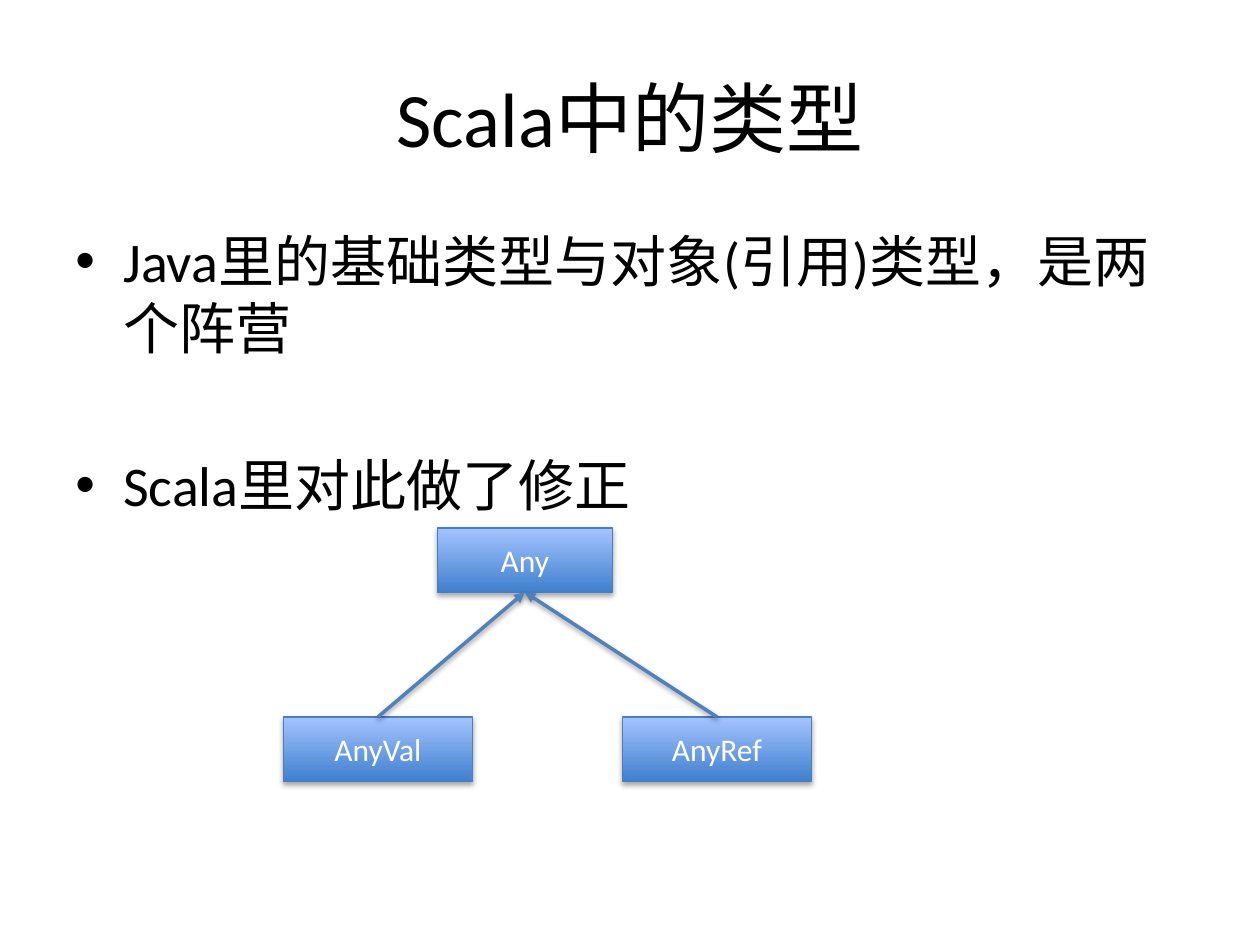
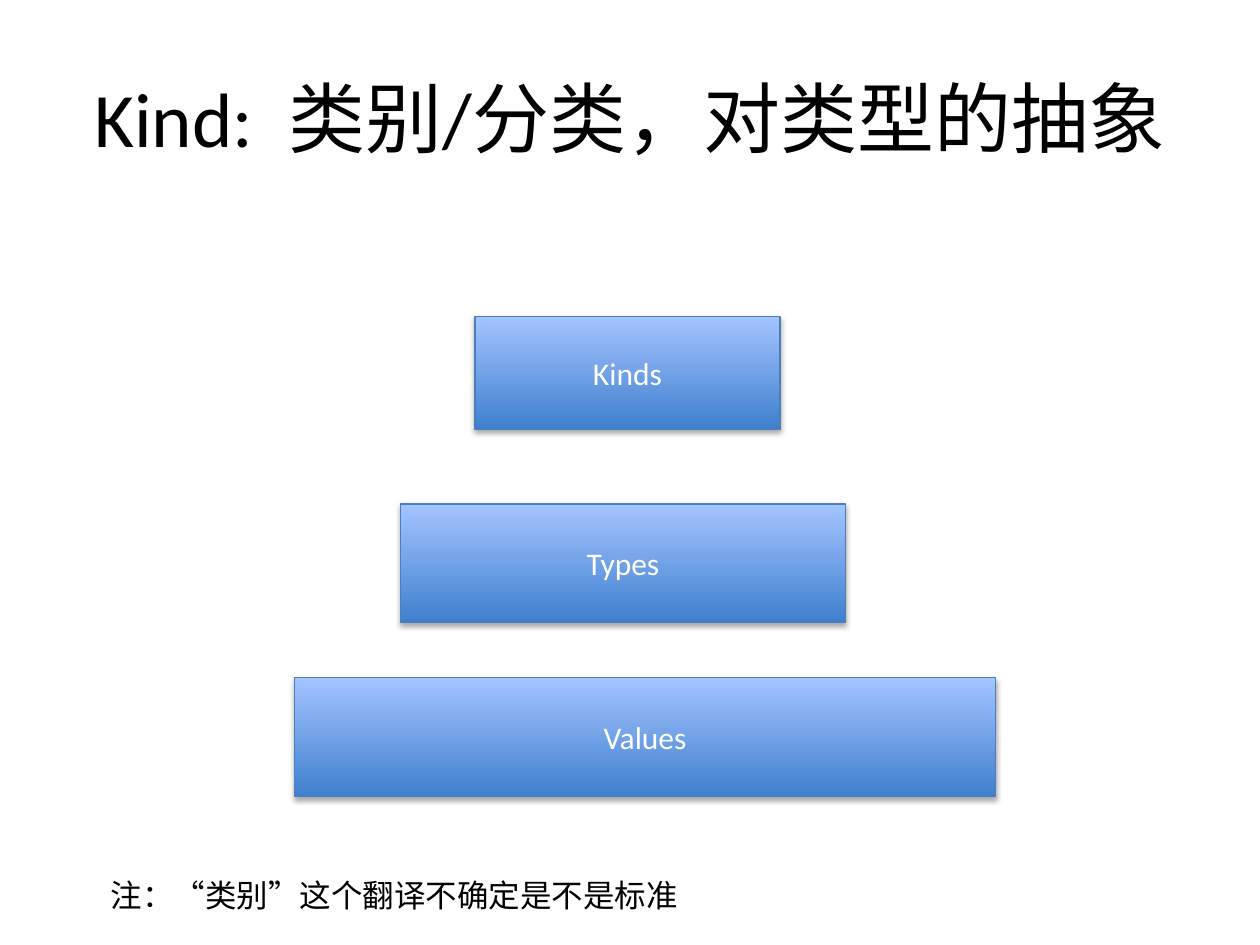
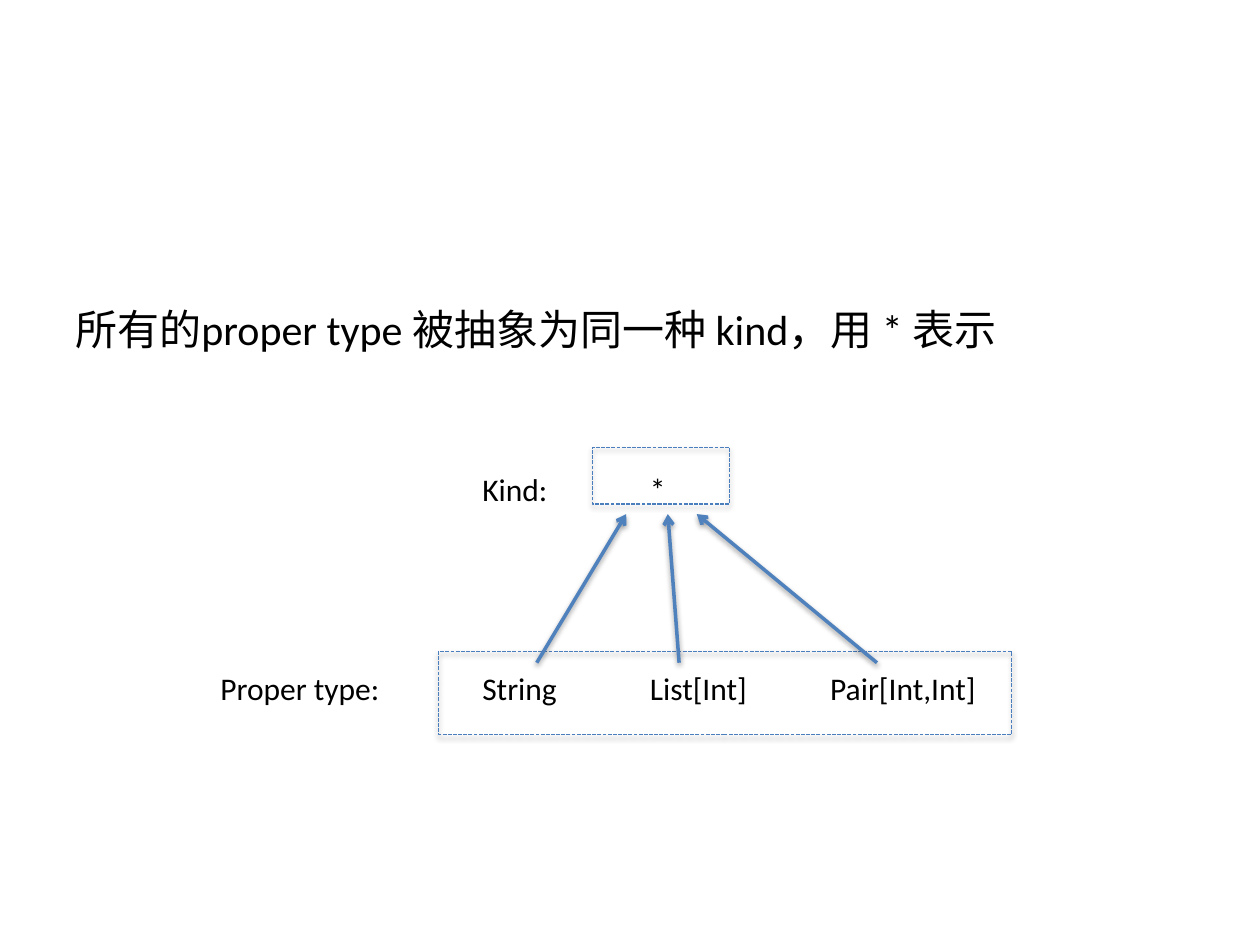
"""Build three slides on Scala types and kinds."""
from pptx import Presentation
from pptx.dml.color import RGBColor
from pptx.enum.dml import MSO_LINE
from pptx.enum.lang import MSO_LANGUAGE_ID as Lang
from pptx.enum.shapes import MSO_CONNECTOR as Conn, MSO_SHAPE as Shape
from pptx.enum.text import MSO_ANCHOR as Anchor, MSO_AUTO_SIZE as Fit, PP_ALIGN as Align
from pptx.oxml import parse_xml
from pptx.oxml.ns import nsdecls, qn
from pptx.util import Inches, Pt

FONT = "Calibri"
BLACK = RGBColor(0x00, 0x00, 0x00)
WHITE = RGBColor(0xFF, 0xFF, 0xFF)
DEEP = RGBColor(0x3F, 0x80, 0xCE)
PALE = RGBColor(0xA4, 0xC4, 0xFF)
EDGE = RGBColor(0x4B, 0x7E, 0xBC)
ARROW = RGBColor(0x4F, 0x81, 0xBD)

TITLES = ["Scala中的类型", "Kind:  类别/分类，对类型的抽象"]
POINTS = ["Java里的基础类型与对象(引用)类型，是两个阵营", "Scala里对此做了修正"]
ROOT = ("Any", (3.47, 4.19, 1.39, 0.51))
LEAVES = [("AnyRef", 4.94), ("AnyVal", 2.25)]
LEVELS = [
    ("Kinds", (3.77, 2.51, 2.42, 0.9)),
    ("Types", (3.18, 4, 3.53, 0.94)),
    ("Values", (2.34, 5.38, 5.56, 0.94)),
]
NOTE = "注：“类别”这个翻译不确定是不是标准"
CLAIM = "所有的proper type 被抽象为同一种 kind，用 * 表示"
ROWS = [
    (3.68, [("Kind:", 3.73, 0.72), ("*", 5.06, 0.47)]),
    (5.26, [("Proper type:", 1.65, 1.48), ("String", 3.73, 0.8),
            ("List[Int]", 5.06, 0.98), ("Pair[Int,Int]", 6.49, 1.38)]),
]
FRAMES = [(4.7, 3.55, 1.09, 0.45), (3.48, 5.17, 4.55, 0.66)]
RAYS = [(4.26, 4.97), (5.39, 5.3), (6.96, 5.53)]


def write(shape, *lines, size=18, color=BLACK, align=Align.LEFT,
          anchor=Anchor.TOP, wrap=True, gap=0, top=0.05, bullet=False):
    frame = shape.text_frame
    frame.word_wrap = wrap
    frame.auto_size = Fit.NONE
    frame.vertical_anchor = anchor
    frame.margin_top = Inches(top)
    for i, line in enumerate(lines):
        para = frame.add_paragraph() if i else frame.paragraphs[0]
        para.alignment = align
        if i:
            para.space_before = Pt(gap)
        if bullet:
            props = para._p.get_or_add_pPr()
            props.set("marL", str(Inches(0.38)))
            props.set("indent", str(-Inches(0.38)))
            props.append(parse_xml(f'<a:buFont {nsdecls("a")} typeface="Arial"/>'))
            props.append(parse_xml(f'<a:buChar {nsdecls("a")} char="•"/>'))
        run = para.add_run()
        run.text = line
        font = run.font
        font.name, font.size, font.color.rgb = FONT, Pt(size), color
        font.language_id = Lang.SIMPLIFIED_CHINESE


def place(slide, spot, *lines, **form):
    write(slide.shapes.add_textbox(*map(Inches, spot)), *lines, **form)


def shade(shape, drop, alpha):
    shape.element.spPr.append(parse_xml(
        f'<a:effectLst {nsdecls("a")}><a:outerShdw blurRad="40000" '
        f'dist="{Pt(drop)}" dir="5400000" rotWithShape="0">'
        f'<a:srgbClr val="000000"><a:alpha val="{alpha}000"/></a:srgbClr>'
        '</a:outerShdw></a:effectLst>'))


def rect(slide, spot):
    box = slide.shapes.add_shape(Shape.RECTANGLE, *map(Inches, spot))
    box.line.color.rgb = EDGE
    box.line.width = Pt(0.75)
    return box


def block(slide, text, spot):
    box = rect(slide, spot)
    box.fill.gradient()
    box.fill.gradient_angle = 90
    for stop, color, pos in zip(box.fill.gradient_stops, (DEEP, PALE), (0, 1)):
        stop.color.rgb, stop.position = color, pos
    shade(box, 1.8, 35)
    write(box, text, color=WHITE, align=Align.CENTER, anchor=Anchor.MIDDLE)
    return box


def dashed(slide, spot):
    box = rect(slide, spot)
    box.fill.background()
    box.line.dash_style = MSO_LINE.SQUARE_DOT
    shade(box, 1.8, 35)


def arrow(slide, start, end, head):
    link = slide.shapes.add_connector(Conn.STRAIGHT, *map(Inches, start + end))
    link.line.color.rgb = ARROW
    link.line.width = Pt(2)
    link.element.spPr.find(qn("a:ln")).append(
        parse_xml(f'<a:tailEnd {nsdecls("a")} type="{head}"/>'))
    shade(link, 1.6, 38)
    return link


def titled(deck, text):
    slide = deck.slides.add_slide(deck.slide_layouts[5])
    title = slide.shapes.title
    title.left, title.top, title.width, title.height = map(Inches, (0.5, 0.3, 9, 1.25))
    write(title, text, size=44, align=Align.CENTER, anchor=Anchor.MIDDLE)
    return slide


def types(deck):
    slide = titled(deck, TITLES[0])
    place(slide, (0.5, 1.75, 9, 2.44), *POINTS, size=32, gap=51, bullet=True)
    root = block(slide, *ROOT)
    for text, left in LEAVES:
        leaf = block(slide, text, (left, 5.69, 1.5, 0.51))
        link = arrow(slide, (left, 5.69), (4.17, 4.7), "triangle")
        link.begin_connect(leaf, 0)
        link.end_connect(root, 2)


def kinds(deck):
    slide = titled(deck, TITLES[1])
    for text, spot in LEVELS:
        block(slide, text, spot)
    place(slide, (0.78, 6.9, 4.81, 0.4), NOTE)


def proper(deck):
    slide = deck.slides.add_slide(deck.slide_layouts[6])
    place(slide, (0.5, 1.75, 9, 2.05), CLAIM, size=24, top=0.66)
    for spot in FRAMES:
        dashed(slide, spot)
    for top, cells in ROWS:
        for text, left, width in cells:
            place(slide, (left, top, width, 0.4), text, wrap=text == "*")
    for low, high in RAYS:
        arrow(slide, (low, 5.26), (high, 4.08), "arrow")


def main():
    deck = Presentation()
    deck.slide_width, deck.slide_height = Inches(10), Inches(7.5)
    for build in (types, kinds, proper):
        build(deck)
    deck.save("out.pptx")


main()
